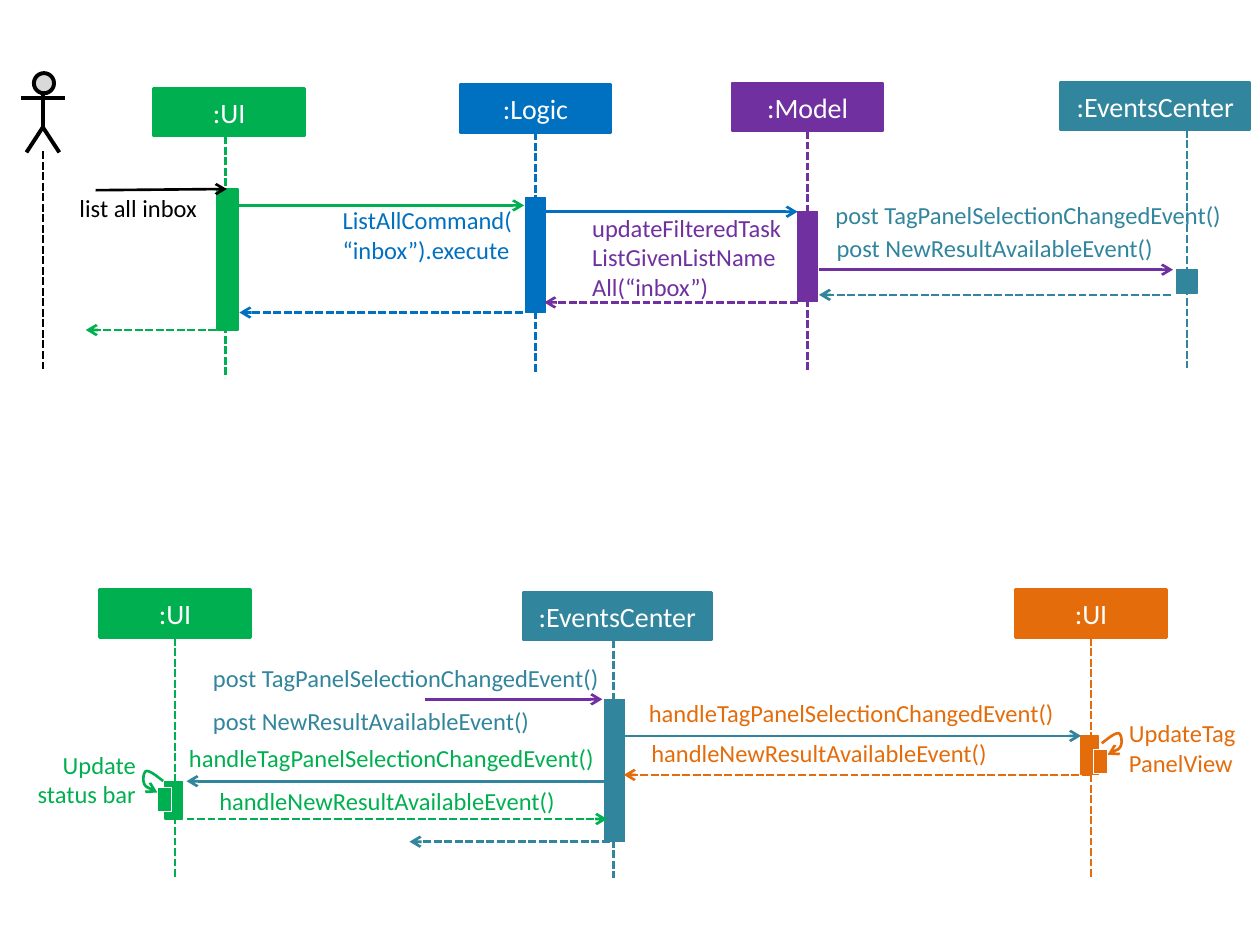
from dataclasses import dataclass

from lxml import etree
from pptx import Presentation
from pptx import slide as slides
from pptx.dml.color import RGBColor
from pptx.enum import dml, shapes, text
from pptx.oxml import ns
from pptx.util import Pt

GREEN = RGBColor(0x00, 0xB0, 0x50)
BLUE = RGBColor(0x00, 0x70, 0xC0)
PURPLE = RGBColor(0x70, 0x30, 0xA0)
TEAL = RGBColor(0x31, 0x85, 0x9C)
ORANGE = RGBColor(0xE4, 0x6C, 0x0A)
GREY = RGBColor(0xD9, 0xD9, 0xD9)
BLACK = RGBColor(0x00, 0x00, 0x00)
WHITE = RGBColor(0xFF, 0xFF, 0xFF)

FONT = "Calibri"
HEADER_HEIGHT = 27.4
LINE_HEIGHT = 17
STEPS = 8

# Control points of a self-call loop that opens to the right, from its tip
LOOP = [(0, 0), (3.3, -1.5), (6.9, -2.9), (7.6, -5.1), (8.6, -7.2),
        (7.9, -12.3), (6.1, -12.3), (4, -12.3), (0.4, -9.4), (-3.3, -6.5)]


def set_line(shape, color, width, dashed=False):
    shape.line.color.rgb = color
    shape.line.width = Pt(width)
    if dashed:
        shape.line.dash_style = dml.MSO_LINE.SQUARE_DOT


def add_arrowhead(shape, end):
    line = shape.line._get_or_add_ln()
    etree.SubElement(line, ns.qn(f"a:{end}"), type="arrow")


def bezier(start, first, second, end):
    """Points along one cubic curve, without its start."""
    for step in range(1, STEPS + 1):
        t = step / STEPS
        weights = ((1 - t) ** 3, 3 * t * (1 - t) ** 2,
                   3 * t * t * (1 - t), t ** 3)
        points = (start, first, second, end)
        yield tuple(sum(w * point[axis] for w, point in zip(weights, points))
                    for axis in (0, 1))


@dataclass
class Region:
    """A box on the slide; all positions are points from its corner."""
    slide: slides.Slide
    left: float
    top: float

    def place(self, x, y):
        return Pt(self.left + x), Pt(self.top + y)

    def block(self, x, y, width, height, fill, outline, line_width=0.75,
              kind=shapes.MSO_SHAPE.RECTANGLE):
        shape = self.slide.shapes.add_shape(
            kind, *self.place(x, y), Pt(width), Pt(height))
        shape.shadow.inherit = False
        shape.fill.solid()
        shape.fill.fore_color.rgb = fill
        set_line(shape, outline, line_width)
        return shape

    def line(self, start, end, color, dashed=False, width=1.5):
        connector = self.slide.shapes.add_connector(
            shapes.MSO_CONNECTOR.STRAIGHT, *self.place(*start),
            *self.place(*end))
        set_line(connector, color, width, dashed)
        etree.SubElement(connector._element.spPr, ns.qn("a:effectLst"))
        return connector

    def outline(self, points, color, width):
        placed = [self.place(*point) for point in points]
        builder = self.slide.shapes.build_freeform(*placed[0])
        builder.add_line_segments(placed[1:], close=False)
        shape = builder.convert_to_shape()
        shape.shadow.inherit = False
        shape.fill.background()
        set_line(shape, color, width)
        return shape

    def message(self, start, end, color, dashed=False):
        add_arrowhead(self.line(start, end, color, dashed), "tailEnd")

    def label(self, words, x, y, width, color, lines=1,
              align=text.PP_ALIGN.LEFT):
        box = self.slide.shapes.add_textbox(
            *self.place(x, y), Pt(width), Pt(lines * LINE_HEIGHT))
        frame = box.text_frame
        frame.word_wrap = True
        frame.auto_size = text.MSO_AUTO_SIZE.SHAPE_TO_FIT_TEXT
        frame.margin_left = frame.margin_right = 0
        frame.margin_top = frame.margin_bottom = 0
        frame.text = words
        for paragraph in frame.paragraphs:
            paragraph.alignment = align
            paragraph.font.name = FONT
            paragraph.font.size = Pt(14)
            paragraph.font.color.rgb = color

    def participant(self, name, color, x, y, width, life_x, life_end, bar):
        """Header, dashed lifeline and activation bar."""
        header = self.block(x, y, width, HEADER_HEIGHT, color, color, 1.5)
        frame = header.text_frame
        frame.margin_left = frame.margin_right = 0
        frame.vertical_anchor = text.MSO_ANCHOR.MIDDLE
        paragraph = frame.paragraphs[0]
        paragraph.text = name
        paragraph.alignment = text.PP_ALIGN.CENTER
        paragraph.font.name = FONT
        paragraph.font.size = Pt(16)
        paragraph.font.color.rgb = WHITE
        lifeline = self.line((life_x, y + HEADER_HEIGHT), (life_x, life_end),
                             color, dashed=True)
        if abs(x + width / 2 - life_x) < 0.5:
            lifeline.begin_connect(header, 2)
        self.block(*bar, color, color)

    def self_call(self, x, y, color, direction):
        """Nested bar with a loop on its left (-1) or right (1) side."""
        width = 7.9
        tip_x = x + width if direction > 0 else x
        points = [(tip_x + direction * dx, y + 2.9 + dy) for dx, dy in LOOP]
        curve = points[:1]
        for first in range(0, len(points) - 1, 3):
            curve += bezier(*points[first:first + 4])
        add_arrowhead(self.outline(curve, color, 1.5), "headEnd")
        self.block(x, y, width, 13.7, color, WHITE)

    def actor(self, x, y):
        self.block(x - 5.1, y, 11.5, 11.5, GREY, BLACK, 2.25,
                   shapes.MSO_SHAPE.FLOWCHART_CONNECTOR)
        self.line((x, y + 11.5), (x, y + 31.6), BLACK, width=2.25)
        self.outline([(x - 9.4, y + 45.3), (x, y + 30.9),
                      (x + 9.4, y + 45.3)], BLACK, 2.25)
        self.line((x - 12.6, y + 14.4), (x + 12.6, y + 14.4), BLACK,
                  width=2.25)
        self.line((x, y + 44.6), (x, y + 170.6), BLACK, dashed=True)


def draw_command_sequence(slide, left, top):
    region = Region(slide, left, top)
    region.actor(24.5, 5.8)

    # Participants
    for participant in [
        (":UI", GREEN, 87.8, 14.4, 86.4, 129, 180, (123.8, 72, 12.2, 80.6)),
        (":Logic", BLUE, 262.8, 12.2, 86.4, 306, 176.4,
         (300.2, 77, 11.5, 65.5)),
        (":Model", PURPLE, 418.3, 11.5, 86.4, 461.5, 176.4,
         (455.8, 85, 11.5, 51.1)),
        (":EventsCenter", TEAL, 606.2, 10.8, 108, 678.2, 174.2,
         (672.5, 118.1, 11.5, 13.7)),
    ]:
        region.participant(*participant)

    # Calls, then dashed returns
    region.message((54.7, 72.7), (129.6, 72), BLACK)
    region.message((136.1, 81.4), (299.5, 81.4), GREEN)
    region.message((311, 85), (455.8, 85), BLUE)
    region.message((468, 118.1), (670.3, 118.1), PURPLE)
    region.message((668.9, 132.5), (468, 132.5), TEAL, dashed=True)
    region.message((455.8, 136.8), (311, 136.8), PURPLE, dashed=True)
    region.message((298.8, 142.6), (136.8, 142.6), BLUE, dashed=True)
    region.message((129.6, 152.6), (49, 152.6), GREEN, dashed=True)

    # Labels
    region.label("list all inbox", 45.4, 74.2, 67.7, BLACK)
    region.label("ListAllCommand(“inbox”).execute", 195.8, 81.4, 97.9, BLUE, 2)
    region.label("updateFilteredTaskListGivenListNameAll(“inbox”)",
                 338.4, 85.7, 112.3, PURPLE, 3)
    region.label("post TagPanelSelectionChangedEvent()", 477.4, 78.5, 235.4, TEAL)
    region.label("post NewResultAvailableEvent()", 478.1, 97.2, 235.4, TEAL)


def draw_event_sequence(slide, left, top):
    region = Region(slide, left, top)

    # Participants
    for participant in [
        (":UI", GREEN, 56.9, 13, 86.4, 100.1, 177.1,
         (94.3, 122.4, 10.1, 21.6)),
        (":EventsCenter", TEAL, 298.8, 14.4, 108, 350.6, 177.8,
         (345.6, 75.6, 11.5, 81.4)),
        (":UI", ORANGE, 580.3, 13, 86.4, 623.5, 177.1,
         (617.8, 96.5, 10.1, 22.3)),
    ]:
        region.participant(*participant)

    # Calls, then dashed returns
    region.message((242.6, 75.6), (344.2, 75.6), PURPLE)
    region.message((356.4, 96.5), (617.8, 96.5), TEAL)
    region.message((347, 122.4), (106.6, 122.4), TEAL)
    region.message((622.8, 118.8), (356.4, 118.8), ORANGE, dashed=True)
    region.message((106.6, 144), (347, 144), GREEN, dashed=True)
    region.message((348.5, 157), (234, 157), TEAL, dashed=True)
    region.self_call(90, 126, GREEN, -1)
    region.self_call(625, 104.4, ORANGE, 1)

    # Labels
    tag_event, result_event = "TagPanelSelectionChangedEvent()", "NewResultAvailableEvent()"
    region.label(f"post {tag_event}", 121.7, 54.7, 226, TEAL)
    region.label(f"post {result_event}", 121.7, 79.2, 226, TEAL)
    region.label(f"handle{tag_event}", 370.8, 74.9, 234.7, ORANGE)
    region.label(f"handle{result_event}", 372.2, 97.9, 234.7, ORANGE)
    region.label(f"handle{tag_event}", 108, 100.8, 233.3, GREEN)
    region.label(f"handle{result_event}", 125.3, 125.3, 193.7, GREEN)
    region.label("Update status bar", 15.1, 104.4, 62.6, GREEN, 2,
                 text.PP_ALIGN.RIGHT)
    region.label("UpdateTag\nPanelView", 645.1, 86.4, 63.4, ORANGE, 2)


def main():
    presentation = Presentation()
    presentation.slide_width, presentation.slide_height = Pt(720), Pt(540)
    slide = presentation.slides.add_slide(presentation.slide_layouts[6])
    draw_command_sequence(slide, 0, 36)
    draw_event_sequence(slide, 0, 324)
    presentation.save("out.pptx")


if __name__ == "__main__":
    main()
